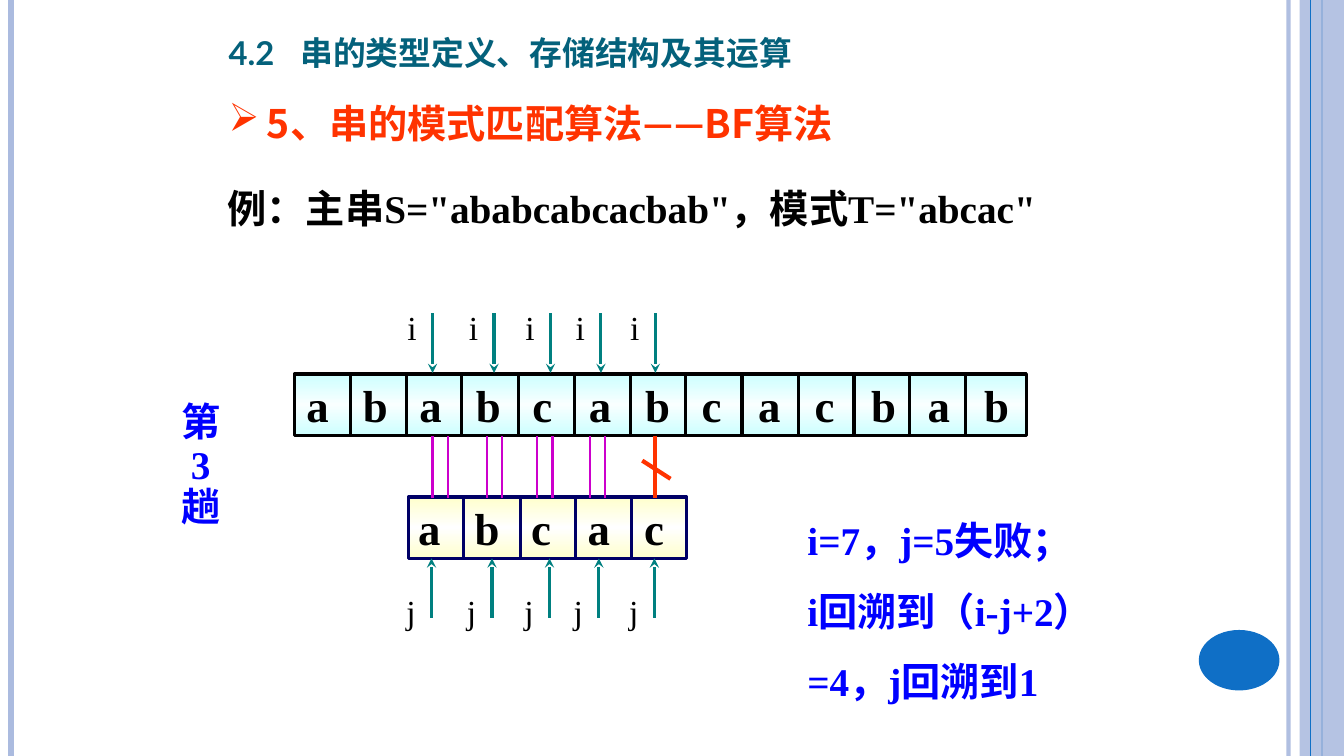
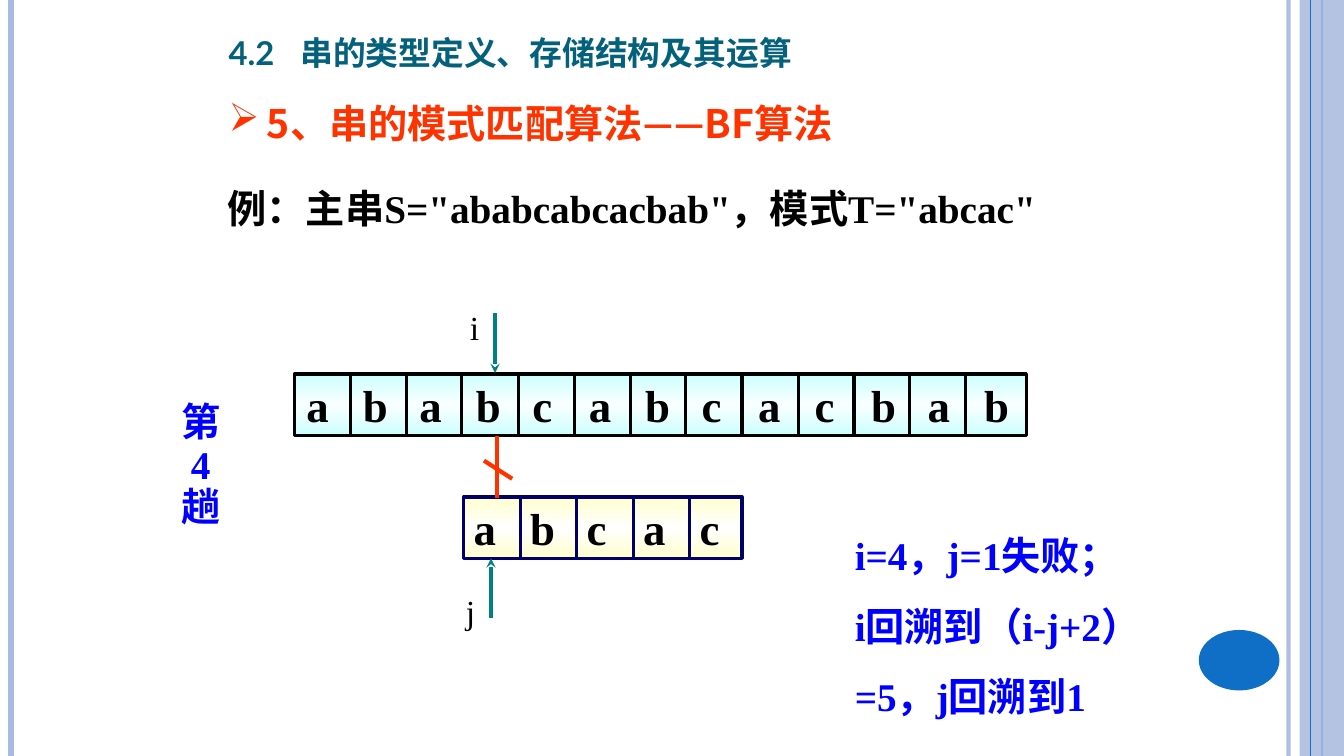
"""Build two slides that trace steps of BF string matching."""
from dataclasses import dataclass
from typing import Any

from lxml.etree import SubElement
from pptx import Presentation
from pptx.dml.color import RGBColor
from pptx.enum.shapes import MSO_CONNECTOR, MSO_SHAPE
from pptx.enum.text import MSO_ANCHOR, PP_ALIGN
from pptx.oxml.ns import qn
from pptx.util import Emu, Pt

SCALE = 9144
WIDE, HIGH = 1333, 750
BLACK, BLUE, RED, TEAL = "000000", "0000FF", "FF3300", "008080"
PALE, DEEP, NAVY, PINK = "ABBBDF", "0F6FC6", "000066", "CC00CC"
TOP, MID, BASE = 371, 493, 554
STEP = 56

SERIF = {"name": "Times New Roman", "bold": True, "size": Pt(28)}
LABEL = {"name": "Times New Roman", "size": Pt(24)}
CELL = {**SERIF, "size": Pt(32)}
HEAD = {"name": "Noto Sans CJK SC", "bold": True, "size": Pt(28)}
TITLE = {"name": "Lato", "bold": True, "size": Pt(29.2)}


@dataclass
class Line:
    x: int
    y: int
    to_x: int
    to_y: int
    color: str
    width: float
    alpha: int = 100
    arrow: bool = False


@dataclass
class Row:
    text: str
    x: int
    y: int
    width: int
    last: int
    pad: int
    color: str
    edge: str
    glow: str


@dataclass
class Round:
    count: str
    row: Row
    tops: list[int]
    lows: list[int]
    pairs: list[int]
    fail: int
    note: list[str]
    note_x: int
    note_y: int


FRAME = [
    Line(1278, 0, 1278, HIGH, PALE, 3, 93),
    Line(11, 0, 11, HIGH, PALE, 4.5),
    Line(1311, 0, 1311, HIGH, DEEP, 1.5),
]
MAIN = Row("ababcabcacbab", 292, TOP, 726, 958, 12, BLACK, "CCFFFF", "F9FFFF")


def pattern(x: int, last: int) -> Row:
    """Return the pattern row placed at x."""
    return Row("abcac", x, MID, 276, last, 10, NAVY, "FFFFCC", "FFFFFF")


ROUNDS = [
    Round("3", pattern(405, 626), [429, 490, 546, 596, 650],
          [428, 488, 545, 594, 649], [429, 483, 533, 585], 650,
          ["i=7，j=5失败；", "i回溯到（i-j+2）=4，j回溯到1"], 791, 484),
    Round("4", pattern(460, 684), [491], [487], [], 493,
          ["i=4，j=1失败；", "i回溯到（i-j+2）=5，j回溯到1"], 838, 499),
]


def px(value: float) -> Emu:
    """Turn px into EMU."""
    return Emu(round(value * SCALE))


def rgb(code: str) -> RGBColor:
    """Return the colour for a hex string."""
    return RGBColor.from_string(code)


def apply(thing: Any, style: dict[str, Any]) -> None:
    """Set each named value on an object."""
    for key, value in style.items():
        setattr(thing, key, value)


def fade(shape: Any, alpha: int) -> None:
    """Make the colours of a shape partly clear."""
    for color in shape.element.spPr.iter(qn("a:srgbClr")):
        SubElement(color, qn("a:alpha"), val=str(alpha * 1000))


def draw(slide: Any, line: Line) -> None:
    """Draw a straight line or arrow."""
    item = slide.shapes.add_connector(
        MSO_CONNECTOR.STRAIGHT, px(line.x), px(line.y), px(line.to_x), px(line.to_y))
    item.line.color.rgb = rgb(line.color)
    item.line.width = Pt(line.width)
    if line.alpha < 100:
        fade(item, line.alpha)
    if line.arrow:
        SubElement(item.line._get_or_add_ln(), qn("a:tailEnd"), type="stealth")
    SubElement(item.element.spPr, qn("a:effectLst"))


def block(slide: Any, kind: MSO_SHAPE, box: tuple[int, ...], color: str) -> Any:
    """Draw a plain filled shape."""
    shape = slide.shapes.add_shape(kind, *map(px, box))
    shape.shadow.inherit = False
    shape.fill.solid()
    shape.fill.fore_color.rgb = rgb(color)
    shape.line.fill.background()
    return shape


def tabs(para: Any, stops: list[int]) -> None:
    """Add left tab stops to a paragraph."""
    group = SubElement(para._p.get_or_add_pPr(), qn("a:tabLst"))
    for stop in stops:
        SubElement(group, qn("a:tab"), pos=str(px(stop)), algn="l")


def write(para: Any, text: str, font: dict[str, Any], color: str) -> Any:
    """Add a styled run to a paragraph."""
    run = para.add_run()
    run.text = text
    apply(run.font, font)
    run.font.color.rgb = rgb(color)
    SubElement(run._r.get_or_add_rPr(), qn("a:ea"), typeface="Lato")
    return run


def text(slide: Any, box: tuple[int, ...], lines: list[str], font: dict[str, Any],
         color: str, style: dict[str, Any], frame: dict[str, Any]) -> Any:
    """Add a text box with one paragraph per line."""
    body = slide.shapes.add_textbox(*map(px, box)).text_frame
    apply(body, {"word_wrap": True, **frame})
    for num, line in enumerate(lines):
        para = body.add_paragraph() if num else body.paragraphs[0]
        apply(para, style)
        write(para, line, font, color)
    return body


def bar(slide: Any, row: Row) -> None:
    """Draw a row of letter cells."""
    shape = block(slide, MSO_SHAPE.RECTANGLE, (row.x, row.y, row.width, 61), row.edge)
    shape.fill.gradient()
    shape.fill.gradient_angle = 90
    stops = shape.element.spPr.find(".//" + qn("a:gsLst"))
    stops.clear()
    for place, color in ((0, row.edge), (50, row.glow), (100, row.edge)):
        stop = SubElement(stops, qn("a:gs"), pos=str(place * 1000))
        SubElement(stop, qn("a:srgbClr"), val=color)
    shape.line.color.rgb = rgb(row.color)
    shape.line.width = Pt(2.25)
    apply(shape.text_frame, {
        "margin_left": px(row.pad), "margin_right": 0, "margin_top": 0,
        "margin_bottom": 0, "vertical_anchor": MSO_ANCHOR.MIDDLE, "word_wrap": True})
    para = shape.text_frame.paragraphs[0]
    para.alignment = PP_ALIGN.LEFT
    count = len(row.text)
    tabs(para, [STEP * num for num in range(1, count)])
    write(para, "\t".join(row.text), CELL, BLACK)
    for num in range(1, count):
        x = round(row.x + (row.last - row.x) * num / (count - 1))
        draw(slide, Line(x, row.y, x, row.y + 61, row.color, 2.25))


def point(slide: Any, name: str, x: int, start: int, end: int, top: int) -> None:
    """Draw an index arrow with its label."""
    draw(slide, Line(x, start, x, end, TEAL, 2.25, arrow=True))
    text(slide, (x - 25, top, 25, 50), [name], LABEL, BLACK, {},
         {"margin_left": 0, "margin_right": 0})


def base(slide: Any) -> None:
    """Draw the frame and headings that slides share."""
    for line in FRAME:
        draw(slide, line)
    fade(block(slide, MSO_SHAPE.RECTANGLE, (1289, 0, 44, HIGH), PALE), 87)
    draw(slide, Line(1300, 0, 1300, HIGH, DEEP, 0.75))
    block(slide, MSO_SHAPE.OVAL, (1189, 625, 80, 60), DEEP)
    head = text(slide, (217, 84, 966, 65), ["5、串的模式匹配算法——BF算法"],
                HEAD, RED, {"line_spacing": 1.2}, {})
    props = head.paragraphs[0]._p.get_or_add_pPr()
    props.set("marL", str(px(38)))
    props.set("indent", str(px(-38)))
    SubElement(SubElement(props, qn("a:buClr")), qn("a:srgbClr"), val=RED)
    SubElement(props, qn("a:buChar"), char="➢")
    title = text(slide, (217, 18, 817, 61), ["4.2\t串的类型定义、存储结构及其运算"],
                 TITLE, "04617B", {"line_spacing": 0.9},
                 {"vertical_anchor": MSO_ANCHOR.BOTTOM})
    para = title.paragraphs[0]
    tabs(para, [71])
    para.runs[0]._r.get_or_add_rPr().set("cap", "small")
    text(slide, (216, 178, 892, 57), ['例：主串S="ababcabcacbab"，模式T="abcac"'],
         SERIF, BLACK, {}, {})
    bar(slide, MAIN)


def trace(slide: Any, turn: Round) -> None:
    """Draw one round of the match."""
    base(slide)
    text(slide, (turn.note_x, turn.note_y, 370, 222), turn.note, SERIF, BLUE,
         {"line_spacing": 1.5}, {})
    text(slide, (165, 395, 68, 137), ["第", turn.count, "趟"], SERIF, BLUE,
         {"line_spacing": 0.9, "alignment": PP_ALIGN.CENTER}, {})
    bar(slide, turn.row)
    for x in turn.tops:
        point(slide, "i", x, 311, 370, 300)
    for x in turn.lows:
        point(slide, "j", x, BASE + 59, BASE, 581)
    for left in turn.pairs:
        for x in (left, left + 15):
            draw(slide, Line(x, 433, x, MID + 1, PINK, 1.5))
    draw(slide, Line(turn.fail, 433, turn.fail, MID + 1, RED, 3))
    draw(slide, Line(turn.fail - 13, 457, turn.fail + 15, 475, RED, 3))


def main() -> None:
    """Build and save the slides."""
    deck = Presentation()
    apply(deck, {"slide_width": px(WIDE), "slide_height": px(HIGH)})
    for turn in ROUNDS:
        trace(deck.slides.add_slide(deck.slide_layouts[6]), turn)
    deck.save("out.pptx")


if __name__ == "__main__":
    main()
